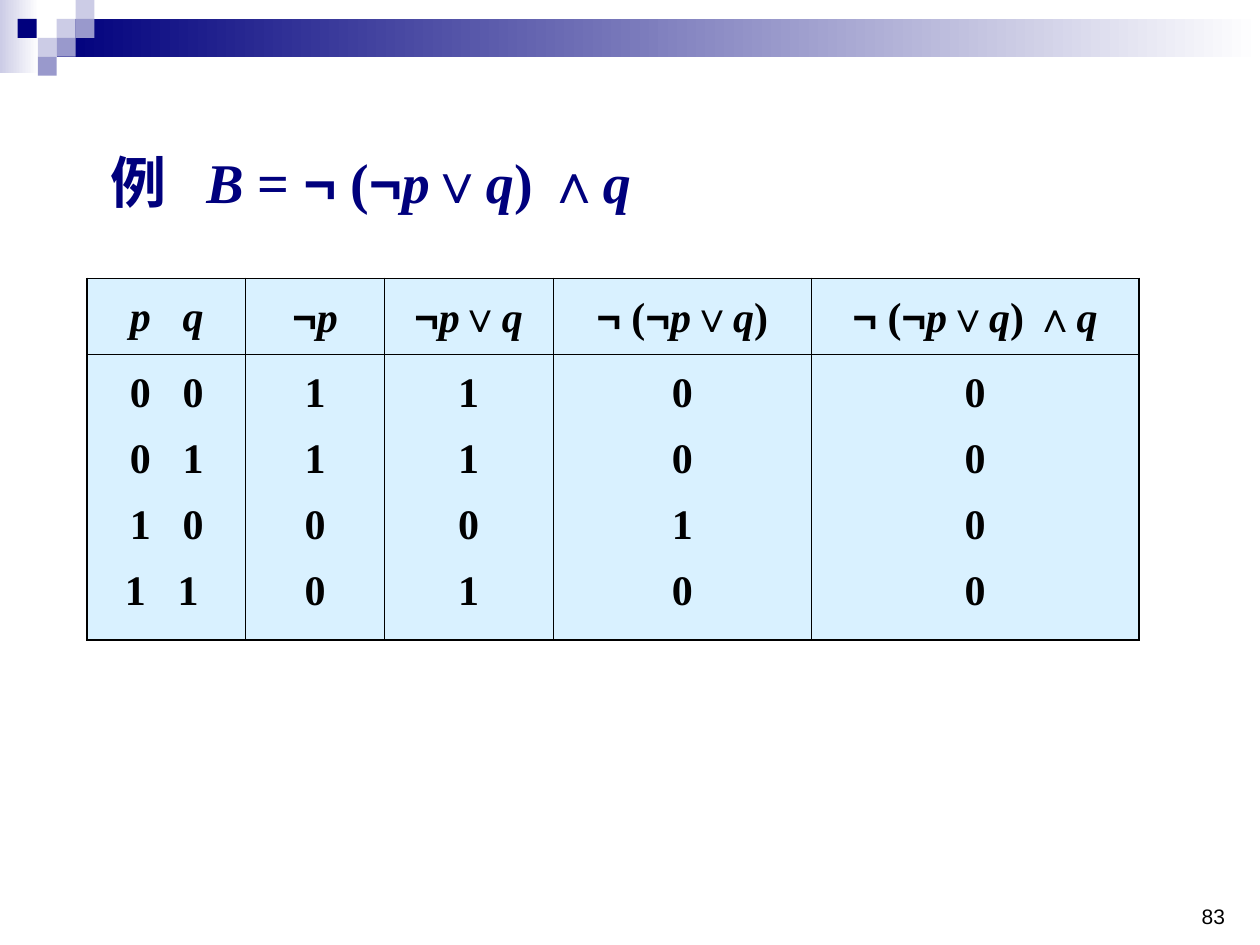
from itertools import groupby

from lxml import etree
from pptx import Presentation
from pptx.dml.color import RGBColor as Rgb
from pptx.enum.shapes import MSO_SHAPE as Shape
from pptx.enum.text import MSO_ANCHOR as Anchor, PP_ALIGN as Align
from pptx.oxml.ns import qn
from pptx.util import Inches, Pt

COLORS = {
    "navy": "00007D",
    "mid": "9999CC",
    "pale": "CCCCE6",
    "white": "FFFFFF",
    "black": "000000",
    "cell": "D9F1FF",
}
SERIF, SANS = "Times New Roman", "Arial"
THIN, THICK = 0.45, 1.08


def color(name):
    return Rgb.from_string(COLORS[name])


def formula_style(char):
    """Return the font and slant of one character in a formula."""
    return SANS if char in "¬∨∧" else SERIF, char.isascii() and char.isalpha()


class SlideBuilder:
    def __init__(self, page):
        self.page = page

    def block(self, left, top, width, height, fill, fade_to=None):
        box = self.page.shapes.add_shape(
            Shape.RECTANGLE, Inches(left), Inches(top), Inches(width), Inches(height))
        box.shadow.inherit = False
        box.line.fill.background()
        if fade_to:
            box.fill.gradient()
            box.fill.gradient_angle = 0
            for stop, name in zip(box.fill.gradient_stops, (fill, fade_to)):
                stop.color.rgb = color(name)
        else:
            box.fill.solid()
            box.fill.fore_color.rgb = color(fill)

    def text_box(self, left, top, width, height, anchor=Anchor.TOP):
        box = self.page.shapes.add_textbox(
            Inches(left), Inches(top), Inches(width), Inches(height))
        box.text_frame.word_wrap = True
        box.text_frame.vertical_anchor = anchor
        return box.text_frame.paragraphs[0]

    def span(self, para, text, size, font, tint="black", bold=True, italic=False):
        span = para.add_run()
        span.text = text
        span.font.name = font
        span.font.size = Pt(size)
        span.font.bold = bold
        span.font.italic = italic
        span.font.color.rgb = color(tint)

    def formula(self, para, text, size, tint="black"):
        for (font, italic), chars in groupby(text, formula_style):
            self.span(para, "".join(chars), size, font, tint, italic=italic)

    def tab_stops(self, para, positions):
        tabs = etree.SubElement(para._p.get_or_add_pPr(), qn("a:tabLst"))
        for position in positions:
            etree.SubElement(tabs, qn("a:tab"), pos=str(Inches(position)), algn="l")

    def borders(self, cell, widths):
        """Draw the cell borders, given left, right, top, bottom widths."""
        properties = cell._tc.get_or_add_tcPr()
        for index, (side, width) in enumerate(zip("LRTB", widths)):
            line = etree.Element(qn(f"a:ln{side}"), w=str(Pt(width)))
            fill = etree.SubElement(line, qn("a:solidFill"))
            etree.SubElement(fill, qn("a:srgbClr"), val=COLORS["black"])
            properties.insert(index, line)

    def truth_table(self, left, top, widths, heights, columns):
        frame = self.page.shapes.add_table(
            len(heights), len(widths), Inches(left), Inches(top),
            Inches(sum(widths)), Inches(sum(heights)))
        table = frame.table
        for row, height in zip(table.rows, heights):
            row.height = Inches(height)
        last_column, last_row = len(widths) - 1, len(heights) - 1
        for x, (width, (header, values)) in enumerate(zip(widths, columns)):
            table.columns[x].width = Inches(width)
            for y, lines in enumerate(([header], values)):
                cell = table.cell(y, x)
                cell.fill.solid()
                cell.fill.fore_color.rgb = color("cell")
                outer = (x == 0, x == last_column, y == 0, y == last_row)
                self.borders(cell, [THICK if edge else THIN for edge in outer])
                self.cell_lines(cell.text_frame, lines)

    def cell_lines(self, frame, lines):
        for index, line in enumerate(lines):
            para = frame.add_paragraph() if index else frame.paragraphs[0]
            para.line_spacing = 1.2
            if index:
                para.space_before = Pt(6)
            if "\t" in line:
                para.alignment = Align.LEFT
                start = 0.2 if index == 3 else 0.24
                self.tab_stops(para, (start, start + 0.42))
            else:
                para.alignment = Align.CENTER
            self.formula(para, line, 24)


def main():
    deck = Presentation()
    deck.slide_width, deck.slide_height = Inches(10), Inches(7.5)
    builder = SlideBuilder(deck.slides.add_slide(deck.slide_layouts[6]))

    # Header band and checkered corner
    builder.block(0, 0, 0.31, 0.58, "pale", "white")
    builder.block(0.45, 0.15, 9.55, 0.3, "navy", "white")
    squares = [(0.45, 0.15, "pale"), (0.6, 0, "pale"), (0.6, 0.15, "mid"),
               (0.3, 0.3, "pale"), (0.14, 0.15, "navy"), (0.45, 0.3, "mid"),
               (0.3, 0.45, "mid")]
    for left, top, fill in squares:
        builder.block(left, top, 0.15, 0.15, fill)

    # Slide number
    number = builder.text_box(9.42, 7.17, 0.42, 0.25, Anchor.BOTTOM)
    number.alignment = Align.CENTER
    builder.span(number, "83", 12, SANS, bold=False)

    # Title
    title = builder.text_box(0.78, 1.12, 7.8, 0.64)
    builder.tab_stops(title, [0.76])
    builder.formula(title, "例\tB = ¬ (¬p∨q) ∧q", 32, "navy")

    # Truth table
    builder.truth_table(
        0.69, 2.21, [1.26, 1.1, 1.34, 2.05, 2.6], [0.6, 2.27],
        [("\tp\tq", ["\t0\t0", "\t0\t1", "\t1\t0", "\t1\t1"]),
         ("¬p", "1100"),
         ("¬p∨q", "1101"),
         ("¬ (¬p∨q)", "0010"),
         ("¬ (¬p∨q) ∧q", "0000")])

    deck.save("out.pptx")


if __name__ == "__main__":
    main()
